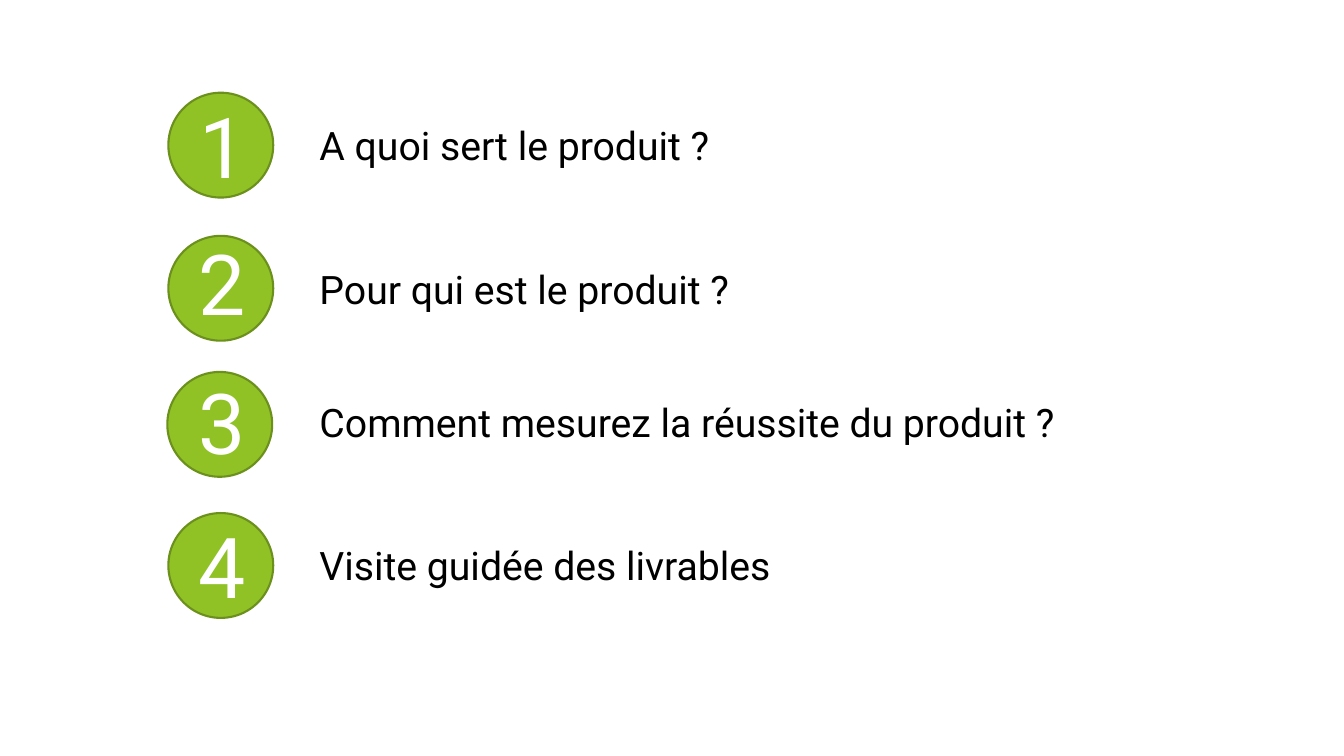
from dataclasses import dataclass

from pptx import Presentation
from pptx.dml.color import RGBColor
from pptx.enum.shapes import MSO_SHAPE as Shape
from pptx.enum.text import MSO_AUTO_SIZE as AutoSize
from pptx.util import Inches, Pt


@dataclass(frozen=True)
class Theme:
    font: str = "Roboto"
    badge: RGBColor = RGBColor(0x90, 0xC2, 0x26)
    badge_edge: RGBColor = RGBColor(0x6B, 0x90, 0x1C)
    number: RGBColor = RGBColor(0xFF, 0xFF, 0xFF)
    question: RGBColor = RGBColor(0x00, 0x00, 0x00)
    number_size: int = 60
    question_size: int = 28
    edge_width: float = 1.5


class AgendaSlide:
    def __init__(self, slide, theme):
        self.slide = slide
        self.theme = theme

    def text(self, shapes, wording, box, size, color):
        label = shapes.add_textbox(*map(Inches, box))
        frame = label.text_frame
        for name, value in {"word_wrap": True, "auto_size": AutoSize.SHAPE_TO_FIT_TEXT}.items():
            setattr(frame, name, value)
        run = frame.paragraphs[0].add_run()
        run.text = wording
        for name, value in {"name": self.theme.font, "size": Pt(size)}.items():
            setattr(run.font, name, value)
        run.font.color.rgb = color

    def circle(self, shapes, left, top):
        disc = shapes.add_shape(Shape.OVAL, *map(Inches, (left, top, 1.04, 1.04)))
        disc.shadow.inherit = False
        disc.fill.solid()
        disc.fill.fore_color.rgb = self.theme.badge
        disc.line.color.rgb = self.theme.badge_edge
        disc.line.width = Pt(self.theme.edge_width)

    def badge(self, number, circle_at, number_at):
        shapes = self.slide.shapes.add_group_shape().shapes
        self.circle(shapes, *circle_at)
        self.text(shapes, str(number), (*number_at, 0.61, 1.11),
                  self.theme.number_size, self.theme.number)

    def question(self, wording, top, width):
        self.text(self.slide.shapes, wording, (3.07, top, width, 0.57),
                  self.theme.question_size, self.theme.question)


AGENDA = [
    ("A quoi sert le produit ?", (1.67, 0.92), (1.88, 0.89), 1.15, 8.78),
    ("Pour qui est le produit ?", (1.67, 2.34), (1.87, 2.25), 2.58, 8.52),
    ("Comment mesurez la réussite du produit ?", (1.66, 3.69), (1.87, 3.63), 3.9, 8.52),
    ("Visite guidée des livrables", (1.67, 5.09), (1.87, 5.05), 5.32, 8.52),
]


def main():
    deck = Presentation()
    deck.slide_width, deck.slide_height = Inches(13.33), Inches(7.5)
    agenda = AgendaSlide(deck.slides.add_slide(deck.slide_layouts[6]), Theme())
    for number, (wording, circle_at, number_at, top, width) in enumerate(AGENDA, 1):
        agenda.badge(number, circle_at, number_at)
        agenda.question(wording, top, width)
    deck.save("out.pptx")


if __name__ == "__main__":
    main()
